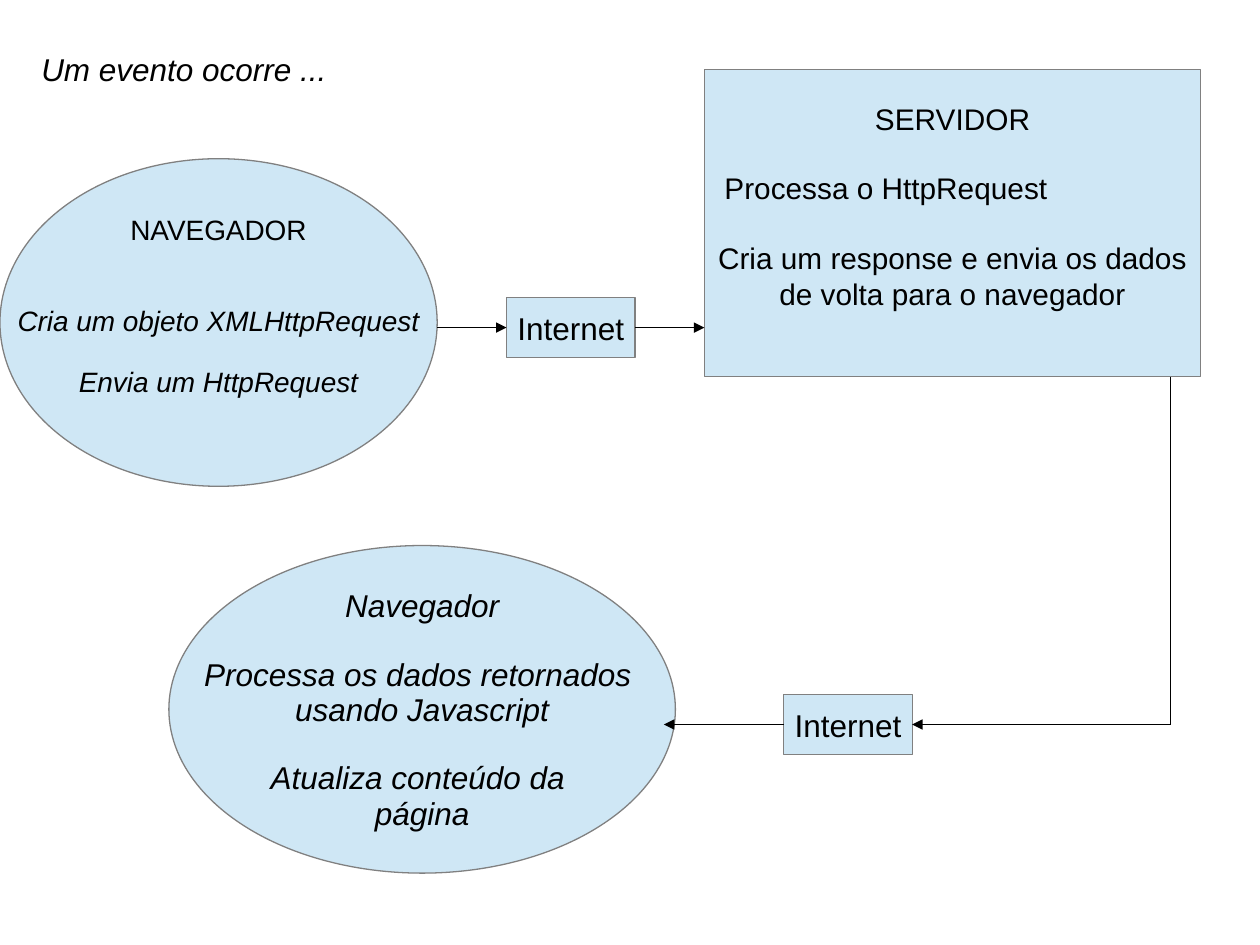
import pptx
import pptx.util
import pptx.dml.color
import pptx.enum.shapes
import pptx.enum.text
import pptx.oxml
import pptx.oxml.ns

Inches = pptx.util.Inches
Pt = pptx.util.Pt
SHAPES = pptx.enum.shapes.MSO_SHAPE
ALIGN = pptx.enum.text.PP_ALIGN
TOP, LEFT, BOTTOM, RIGHT = range(4)


def color(hex_text):
    return pptx.dml.color.RGBColor.from_string(hex_text)


def write(shape, lines, size, spacing=1.0, top=0.05, bottom=0.05):
    """Fill a shape with lines given as (text, italic, points before)."""
    frame = shape.text_frame
    frame.text = "\n".join(text for text, _, _ in lines)
    frame.word_wrap = False
    frame.margin_left = frame.margin_right = Inches(0.1)
    frame.margin_top, frame.margin_bottom = Inches(top), Inches(bottom)
    frame.vertical_anchor = pptx.enum.text.MSO_ANCHOR.MIDDLE
    for para, (_, italic, before) in zip(frame.paragraphs, lines):
        para.alignment = ALIGN.CENTER
        para.line_spacing = spacing
        para.space_before = Pt(before)
        for span in para.runs:
            span.font.name = "Arial"
            span.font.size = Pt(size)
            span.font.italic = italic
            span.font.color.rgb = color("000000")


def add_node(page, kind, left, top, width, height):
    node = page.shapes.add_shape(kind, Inches(left), Inches(top), Inches(width), Inches(height))
    node.shadow.inherit = False
    node.fill.solid()
    node.fill.fore_color.rgb = color("CFE7F5")
    node.line.color.rgb = color("808080")
    node.line.width = Pt(0.75)
    return node


def add_internet(page, left, top):
    box = add_node(page, SHAPES.RECTANGLE, left, top, 1.02, 0.48)
    write(box, [("Internet", False, 0)], 18)
    return box


def add_line(page, start, end, arrow=True):
    points = [Inches(value) for value in (*start, *end)]
    line = page.shapes.add_connector(pptx.enum.shapes.MSO_CONNECTOR.STRAIGHT, *points)
    line.line.color.rgb = color("000000")
    line.line.width = Pt(0.75)
    qn = pptx.oxml.ns.qn
    if arrow:
        tail = line.line._get_or_add_ln().makeelement(qn("a:tailEnd"), {"type": "triangle"})
        line.line._get_or_add_ln().append(tail)
    properties = line._element.spPr
    properties.append(properties.makeelement(qn("a:effectLst"), {}))
    return line


def add_server(page):
    server = add_node(page, SHAPES.RECTANGLE, 5.59, 0.55, 3.94, 2.44)
    write(server, [
        ("SERVIDOR", False, 0),
        ("Processa o HttpRequest", False, 19.5),
        ("Cria um response e envia os dados", False, 19.5),
        ("de volta para o navegador", False, 0),
    ], 17, bottom=0.32)
    frame = server.text_frame
    frame.word_wrap = True
    frame.margin_left = frame.margin_right = Inches(0.03)
    request = frame.paragraphs[1]
    request.alignment = ALIGN.LEFT
    request._p.get_or_add_pPr().set("marL", str(Inches(0.13)))


def main():
    deck = pptx.Presentation()
    deck.slide_width, deck.slide_height = Inches(10), Inches(7.5)
    page = deck.slides.add_slide(deck.slide_layouts[6])

    receiver = add_node(page, SHAPES.OVAL, 1.34, 4.33, 4.02, 2.6)
    write(receiver, [
        ("Navegador", True, 0),
        ("Processa os dados retornados ", True, 19.2),
        ("usando Javascript", True, 0),
        ("Atualiza conteúdo da ", True, 19.2),
        ("página", True, 0),
    ], 18, spacing=0.93, top=0.07)

    sender = add_node(page, SHAPES.OVAL, 0, 1.26, 3.47, 2.6)
    write(sender, [
        ("NAVEGADOR", False, 0),
        ("Cria um objeto XMLHttpRequest", True, 34.2),
        ("Envia um HttpRequest", True, 17.1),
    ], 16, spacing=0.93, bottom=0.29)

    add_server(page)
    outbound = add_internet(page, 4.02, 2.36)
    inbound = add_internet(page, 6.22, 5.51)

    add_line(page, (3.47, 2.6), (4.02, 2.6)).end_connect(outbound, LEFT)
    add_line(page, (5.04, 2.6), (5.59, 2.6)).begin_connect(outbound, RIGHT)
    add_line(page, (9.29, 2.99), (9.29, 5.75), arrow=False)
    add_line(page, (9.29, 5.75), (7.24, 5.75)).end_connect(inbound, RIGHT)
    add_line(page, (6.22, 5.75), (5.27, 5.75)).begin_connect(inbound, LEFT)

    title = page.shapes.add_textbox(Inches(0.22), Inches(0.32), Inches(2.48), Inches(0.45))
    write(title, [("Um evento ocorre ...", True, 0)], 18)

    deck.save("out.pptx")


if __name__ == "__main__":
    main()
